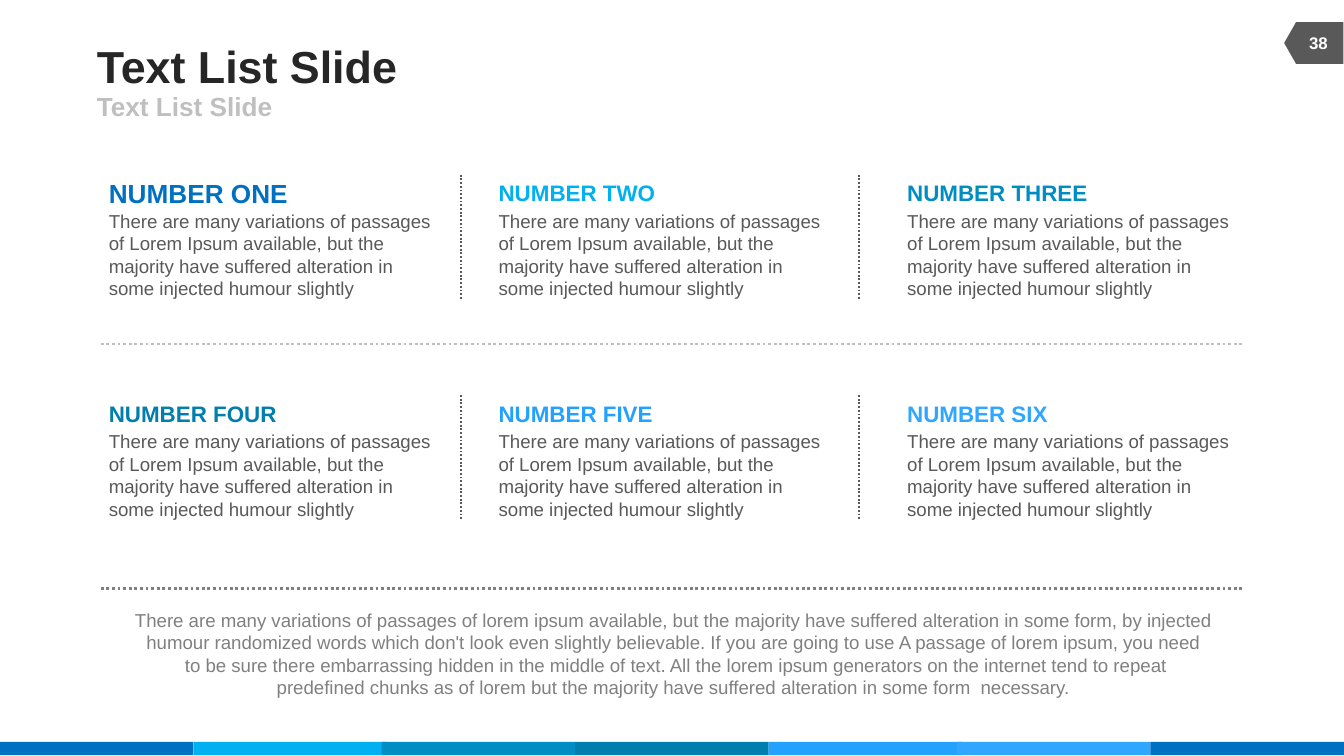
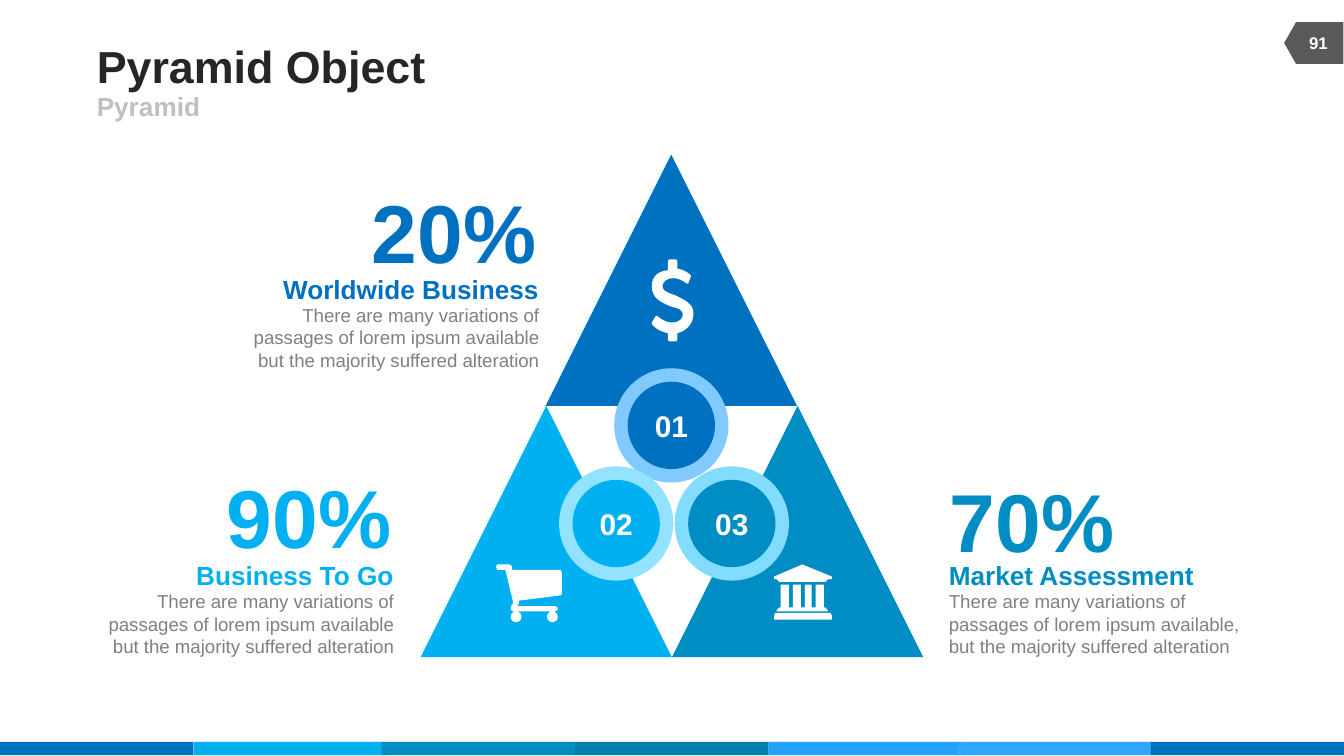
"""Build a text list slide and a pyramid slide that share one frame."""
import pptx
import pptx.dml.color
import pptx.enum.dml
import pptx.enum.shapes
import pptx.enum.text
import pptx.oxml.ns
import pptx.util
import lxml.etree

Inches = pptx.util.Inches
RGBColor = pptx.dml.color.RGBColor
SHAPE = pptx.enum.shapes.MSO_SHAPE
ALIGN = pptx.enum.text.PP_ALIGN
ANCHOR = pptx.enum.text.MSO_ANCHOR

FONT = "Arial"
BLUE = RGBColor(0x00, 0x70, 0xC0)
CYAN = RGBColor(0x00, 0xB0, 0xF0)
TEAL = RGBColor(0x00, 0x8D, 0xC3)
DEEP = RGBColor(0x00, 0x7E, 0xAE)
SKY = RGBColor(0x23, 0xA1, 0xFF)
LIGHT = RGBColor(0x2F, 0xA6, 0xFF)
BLUE_RING = RGBColor(0x80, 0xCA, 0xFF)
CYAN_RING = RGBColor(0x93, 0xE2, 0xFF)
TEAL_RING = RGBColor(0x81, 0xDC, 0xFF)
INK = RGBColor(0x26, 0x26, 0x26)
DARK = RGBColor(0x59, 0x59, 0x59)
GRAY = RGBColor(0x80, 0x80, 0x80)
SILVER = RGBColor(0xBF, 0xBF, 0xBF)
WHITE = RGBColor(0xFF, 0xFF, 0xFF)

BAND = [(0, BLUE), (1.44, CYAN), (2.84, TEAL), (4.28, DEEP), (5.72, SKY), (7.12, LIGHT), (8.56, BLUE)]

ITEM_TEXT = ("There are many variations of passages of Lorem Ipsum available, but the majority "
             "have suffered alteration in some injected humour slightly")
ITEMS = [
    ("NUMBER ONE", BLUE, 14, 1.34),
    ("NUMBER TWO", CYAN, 12, 1.18),
    ("NUMBER THREE", TEAL, 12, 1.35),
    ("NUMBER FOUR", DEEP, 12, 1.26),
    ("NUMBER FIVE", SKY, 12, 1.16),
    ("NUMBER SIX", LIGHT, 12, 1.06),
]
COLUMN_LEFTS = [0.81, 3.71, 6.75]
DIVIDER_LEFTS = [3.43, 6.39]
ROW_TOPS = [1.3, 2.94]
RULES = [(2.56, SILVER), (4.38, GRAY)]
CLOSING = [
    "There are many variations of passages of lorem ipsum available, but the majority have suffered "
    "alteration in some form, by injected humour randomized words which don't look even slightly "
    "believable. If you are going to use A passage of lorem ipsum, you need",
    " to be sure there embarrassing hidden in the middle of text. All the lorem ipsum generators on "
    "the internet tend to repeat",
    "predefined chunks as of lorem but the majority have suffered alteration in some form  necessary.",
]

SIDE = 1.87
TRIANGLES = [(4.06, 1.15, BLUE), (3.13, 3.02, CYAN), (5, 3.02, TEAL)]
BADGES = [
    ("01", 4.57, 2.74, BLUE, BLUE_RING),
    ("02", 4.16, 3.47, CYAN, CYAN_RING),
    ("03", 5.02, 3.47, TEAL, TEAL_RING),
]
STAT_TEXT = "There are many variations of passages of lorem ipsum available{} but the majority suffered alteration"
STATS = [
    ("20%", (2.76, 1.34), "Worldwide Business", STAT_TEXT.format(""), 1.74, 2.03, BLUE, ALIGN.RIGHT),
    ("90%", (1.68, 3.46), "Business To Go", STAT_TEXT.format(""), 0.66, 4.16, CYAN, ALIGN.RIGHT),
    ("70%", (7.06, 3.49), "Market Assessment", STAT_TEXT.format(","), 7.06, 4.16, TEAL, ALIGN.LEFT),
]

DOLLAR = [[
    (5.04, 2.48), (5.04, 2.53), (5.03, 2.54), (4.98, 2.54), (4.97, 2.53), (4.97, 2.48),
    (4.88, 2.46, 4.85, 2.41, 4.85, 2.41), (4.85, 2.4), (4.88, 2.35), (4.89, 2.35),
    (4.89, 2.35, 4.94, 2.4, 5, 2.4), (5.04, 2.4, 5.08, 2.38, 5.08, 2.34),
    (5.08, 2.3, 5.03, 2.29, 4.99, 2.28), (4.92, 2.25, 4.85, 2.22, 4.85, 2.13),
    (4.85, 2.06, 4.89, 2.02, 4.97, 2.01), (4.97, 1.94), (4.98, 1.93), (5.03, 1.93),
    (5.04, 1.94), (5.04, 2), (5.11, 2.01, 5.14, 2.05, 5.14, 2.05), (5.14, 2.06), (5.12, 2.11),
    (5.11, 2.11), (5.11, 2.11, 5.06, 2.07, 5.01, 2.07), (4.96, 2.07, 4.93, 2.1, 4.93, 2.13),
    (4.93, 2.17, 4.98, 2.18, 5.03, 2.2), (5.09, 2.23, 5.16, 2.26, 5.16, 2.33),
    (5.16, 2.41, 5.11, 2.46, 5.04, 2.48),
]]


def wheel(x, y, r=0.04):
    k = r * 0.55
    return [(x, y + r), (x - k, y + r, x - r, y + k, x - r, y), (x - r, y - k, x - k, y - r, x, y - r),
            (x + k, y - r, x + r, y - k, x + r, y), (x + r, y + k, x + k, y + r, x, y + r)]


CART = [[
    (4.18, 4.42), (4.17, 4.43), (3.86, 4.47), (3.86, 4.49), (3.85, 4.51), (4.12, 4.51),
    (4.14, 4.51, 4.15, 4.52, 4.15, 4.53), (4.15, 4.54, 4.14, 4.55, 4.12, 4.55), (3.82, 4.55),
    (3.81, 4.55, 3.8, 4.54, 3.8, 4.53), (3.8, 4.52, 3.81, 4.49, 3.82, 4.49), (3.76, 4.24),
    (3.7, 4.24), (3.69, 4.22), (3.7, 4.2), (3.78, 4.2), (3.81, 4.2, 3.81, 4.22, 3.81, 4.24),
    (4.17, 4.24), (4.18, 4.26),
], wheel(3.84, 4.59), wheel(4.11, 4.59)]

PILLARS = [(5.81, 5.87), (5.9, 5.96), (5.99, 6.04), (6.07, 6.13)]
BANK = [
    [(6.19, 4.29), (6.19, 4.31), (6.16, 4.31), (6.14, 4.33), (5.8, 4.33), (5.78, 4.31),
     (5.76, 4.31), (5.76, 4.29), (5.97, 4.2)],
    [(6.19, 4.58), (6.19, 4.61), (5.76, 4.61), (5.76, 4.58), (5.77, 4.56), (6.18, 4.56)],
    [pt for l, r in PILLARS for pt in ((l, 4.52), (l, 4.35), (r, 4.35), (r, 4.52))]
    + [(6.14, 4.52), (6.16, 4.54), (6.16, 4.55), (5.78, 4.55), (5.78, 4.54), (5.8, 4.52)],
]


def write(sp, lines, size, color, bold=False, align=ALIGN.LEFT, anchor=ANCHOR.MIDDLE, wrap=True):
    tf = sp.text_frame
    tf.auto_size = pptx.enum.text.MSO_AUTO_SIZE.NONE
    tf.word_wrap = wrap
    tf.vertical_anchor = anchor
    tf.margin_left = tf.margin_right = tf.margin_top = tf.margin_bottom = 0
    p = tf.paragraphs[0]
    p.alignment = align
    p.space_before = pptx.util.Pt(0)
    for i, line in enumerate(lines):
        if i:
            p.add_line_break()
        r = p.add_run()
        r.text = line
        r.font.name, r.font.size, r.font.bold = FONT, pptx.util.Pt(size), bold
        r.font.color.rgb = color


def add_text(s, box, text, size, color, **style):
    sp = s.shapes.add_textbox(*map(Inches, box))
    write(sp, [text] if isinstance(text, str) else text, size, color, **style)


def paint(sp, color):
    sp.shadow.inherit = False
    sp.fill.solid()
    sp.fill.fore_color.rgb = color
    sp.line.fill.background()
    return sp


def add_shape(s, kind, box, color):
    return paint(s.shapes.add_shape(kind, *map(Inches, box)), color)


def add_line(s, x1, y1, x2, y2, color, width):
    c = s.shapes.add_connector(pptx.enum.shapes.MSO_CONNECTOR.STRAIGHT, *map(Inches, (x1, y1, x2, y2)))
    c.line.color.rgb = color
    c.line.width = pptx.util.Pt(width)
    c.line.dash_style = pptx.enum.dml.MSO_LINE.ROUND_DOT
    lxml.etree.SubElement(c._element.spPr, pptx.oxml.ns.qn("a:effectLst"))


def flatten(contour, steps=8):
    points = []
    for node in contour:
        if len(node) == 2:
            points.append(node)
            continue
        ends = (points[-1], node[:2], node[2:4], node[4:])
        for i in range(1, steps + 1):
            t = i / steps
            weights = ((1 - t) ** 3, 3 * t * (1 - t) ** 2, 3 * t * t * (1 - t), t ** 3)
            points.append(tuple(sum(w * e[axis] for w, e in zip(weights, ends)) for axis in (0, 1)))
    return [(Inches(x), Inches(y)) for x, y in points]


def add_outline(s, contours, color):
    first, *others = [flatten(contour) for contour in contours]
    builder = s.shapes.build_freeform(*first[0])
    builder.add_line_segments(first[1:], close=True)
    for points in others:
        builder.move_to(*points[0])
        builder.add_line_segments(points[1:], close=True)
    paint(builder.convert_to_shape(), color)


def place(sp, box):
    sp.left, sp.top, sp.width, sp.height = map(Inches, box)


def add_frame(prs, title, subtitle, number):
    s = prs.slides.add_slide(prs.slide_layouts[1])
    for left, color in BAND:
        add_shape(s, SHAPE.RECTANGLE, (left, 5.52, 1.44, 0.1), color)
    add_shape(s, SHAPE.FLOWCHART_OFFPAGE_CONNECTOR, (9.62, 0.1, 0.31, 0.44), DARK).rotation = 90
    add_text(s, (9.6, 0.17, 0.42, 0.3), number, 9, WHITE, bold=True, align=ALIGN.CENTER)
    place(s.shapes.title, (0.72, 0.29, 6.17, 0.39))
    write(s.shapes.title, [title], 24, INK, bold=True)
    body = s.placeholders[1]
    place(body, (0.72, 0.68, 4.5, 0.22))
    pPr = body.text_frame.paragraphs[0]._p.get_or_add_pPr()
    pPr.set("marL", "0")
    pPr.set("indent", "0")
    lxml.etree.SubElement(pPr, pptx.oxml.ns.qn("a:buNone"))
    write(body, [subtitle], 14, SILVER, bold=True)
    return s


def build_list(prs):
    s = add_frame(prs, "Text List Slide", "Text List Slide", "38")
    for i, (heading, color, size, width) in enumerate(ITEMS):
        left, top = COLUMN_LEFTS[i % 3], ROW_TOPS[i // 3]
        add_text(s, (left, top + 0.03, width, 0.21), heading, size, color, bold=True, wrap=False)
        add_text(s, (left, top + 0.26, 2.42, 0.67), ITEM_TEXT, 10, DARK)
    for top in ROW_TOPS:
        for x in DIVIDER_LEFTS:
            add_line(s, x, top, x, top + 0.93, DARK, 1)
    for y, color in RULES:
        add_line(s, 0.75, y, 9.25, y, color, 1.5)
    add_text(s, (0.76, 4.53, 8.49, 0.67), CLOSING, 10, GRAY, align=ALIGN.CENTER, anchor=ANCHOR.TOP)


def build_pyramid(prs):
    s = add_frame(prs, "Pyramid Object", "Pyramid", "91")
    for left, top, color in TRIANGLES:
        base = top + SIDE
        add_outline(s, [[(left, base), (left + SIDE / 2, top), (left + SIDE, base)]], color)
    for label, left, top, color, ring in BADGES:
        add_shape(s, SHAPE.OVAL, (left, top, 0.85, 0.85), ring)
        sp = add_shape(s, SHAPE.OVAL, (left + 0.1, top + 0.1, 0.65, 0.65), color)
        write(sp, [label], 16, WHITE, bold=True, align=ALIGN.CENTER)
    for value, spot, heading, text, left, top, color, align in STATS:
        add_text(s, (left, top, 2.27, 0.24), heading, 14, color, bold=True, align=align)
        add_text(s, (left, top + 0.23, 2.27, 0.5), text, 10, GRAY, align=align, anchor=ANCHOR.TOP)
        add_text(s, (*spot, 1.24, 0.74), value, 44, color, bold=True, align=ALIGN.CENTER,
                 anchor=ANCHOR.BOTTOM, wrap=False)
    for icon in (DOLLAR, CART, BANK):
        add_outline(s, icon, WHITE)


def main():
    prs = pptx.Presentation()
    prs.slide_width = Inches(10)
    prs.slide_height = prs.slide_width * 9 // 16
    build_list(prs)
    build_pyramid(prs)
    prs.save("out.pptx")


if __name__ == "__main__":
    main()
